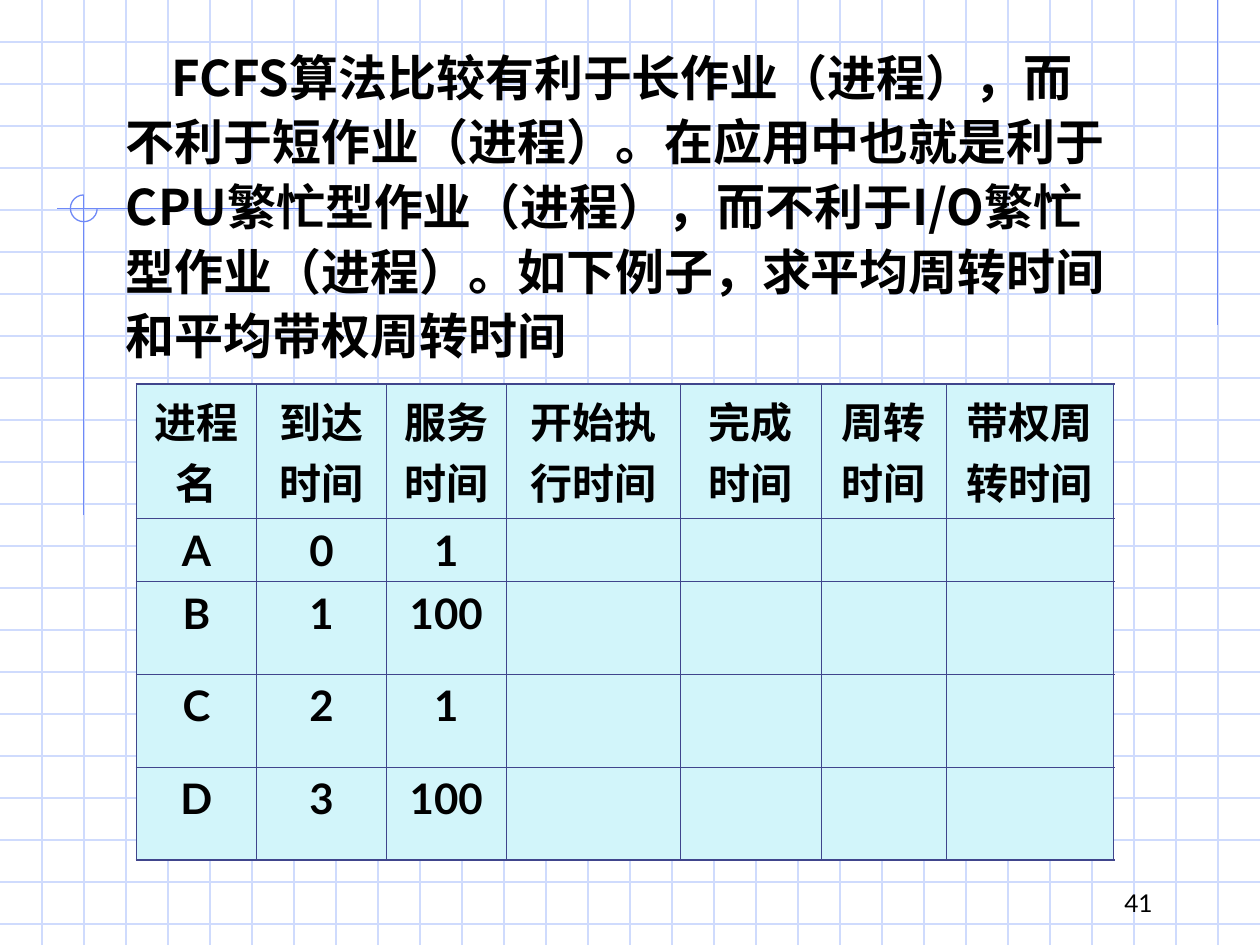
from dataclasses import dataclass

from pptx import Presentation
from pptx.dml.color import RGBColor
from pptx.enum.shapes import MSO_CONNECTOR, MSO_SHAPE
from pptx.enum.text import MSO_ANCHOR, MSO_AUTO_SIZE, PP_ALIGN
from pptx.oxml.ns import qn
from pptx.slide import Slide
from pptx.table import _Cell
from pptx.text.text import _Paragraph
from pptx.util import Cm, Pt
from lxml.etree import SubElement

BLACK = RGBColor(0x00, 0x00, 0x00)
GRID_BLUE = RGBColor(0xCF, 0xDB, 0xFD)
ACCENT_BLUE = RGBColor(0x6F, 0x89, 0xF7)
CELL_FILL = RGBColor(0xD2, 0xF5, 0xFA)
BORDER_BLUE = RGBColor(0x40, 0x45, 0x8C)

LATIN_FONT = "Lato"
CHINESE_FONT = "Noto Sans CJK SC"

SLIDE_WIDTH, SLIDE_HEIGHT = 25.4, 19.05
GRID_COLUMNS = 30
GRID_STEP = SLIDE_WIDTH / GRID_COLUMNS

BODY = (
    "FCFS算法比较有利于长作业（进程），而不利于短作业（进程）。"
    "在应用中也就是利于CPU繁忙型作业（进程），而不利于I/O繁忙型作业（进程）。"
    "如下例子，求平均周转时间和平均带权周转时间"
)
HEADERS = ["进程名", "到达时间", "服务时间", "开始执行时间", "完成时间", "周转时间", "带权周转时间"]
PROCESSES = [("A", "0", "1"), ("B", "1", "100"), ("C", "2", "1"), ("D", "3", "100")]
COLUMN_WIDTHS = [2.42, 2.62, 2.41, 3.51, 2.84, 2.52, 3.38]
ROW_HEIGHTS = [2.29, 1.27, 1.87, 1.87, 1.87]


@dataclass
class Line:
    """A straight line, in centimetres."""
    start_x: float
    start_y: float
    end_x: float
    end_y: float
    color: RGBColor


@dataclass
class TextBox:
    """A block of text, in centimetres and points."""
    left: float
    top: float
    width: float
    height: float
    text: str
    size: int
    latin_font: str
    bold: bool = False
    alignment: PP_ALIGN = PP_ALIGN.LEFT
    anchor: MSO_ANCHOR = MSO_ANCHOR.TOP
    line_spacing: float = 1.0
    first_indent: float = 0


def draw_line(slide: Slide, line: Line) -> None:
    connector = slide.shapes.add_connector(
        MSO_CONNECTOR.STRAIGHT,
        Cm(line.start_x), Cm(line.start_y), Cm(line.end_x), Cm(line.end_y))
    connector.line.color.rgb = line.color
    connector.line.width = Pt(0.75)
    SubElement(connector.element.spPr, qn("a:effectLst"))


def format_runs(paragraph: _Paragraph, size: int, latin_font: str, bold: bool) -> None:
    for run in paragraph.runs:
        run.font.size = Pt(size)
        run.font.bold = bold
        run.font.name = latin_font
        run.font.color.rgb = BLACK
        SubElement(run.font._element, qn("a:ea"), typeface=CHINESE_FONT)


def draw_text(slide: Slide, box: TextBox) -> None:
    shape = slide.shapes.add_textbox(Cm(box.left), Cm(box.top), Cm(box.width), Cm(box.height))
    text_frame = shape.text_frame
    text_frame.text = box.text
    text_frame.word_wrap = True
    text_frame.auto_size = MSO_AUTO_SIZE.NONE
    text_frame.vertical_anchor = box.anchor
    paragraph = text_frame.paragraphs[0]
    paragraph.alignment = box.alignment
    paragraph.line_spacing = box.line_spacing
    paragraph._p.get_or_add_pPr().set("indent", str(Cm(box.first_indent)))
    format_runs(paragraph, box.size, box.latin_font, box.bold)


def set_border(cell: _Cell, side: str, width: float) -> None:
    border = SubElement(cell._tc.get_or_add_tcPr(), qn(f"a:ln{side}"), w=str(Pt(width)))
    fill = SubElement(border, qn("a:solidFill"))
    SubElement(fill, qn("a:srgbClr"), val=str(BORDER_BLUE))


def draw_table(slide: Slide, left: float, top: float) -> None:
    rows = [HEADERS] + [list(process) for process in PROCESSES]
    row_count, column_count = len(rows), len(HEADERS)
    table = slide.shapes.add_table(
        row_count, column_count, Cm(left), Cm(top),
        Cm(sum(COLUMN_WIDTHS)), Cm(sum(ROW_HEIGHTS))).table
    table.first_row = table.horz_banding = False
    for column, width in zip(table.columns, COLUMN_WIDTHS):
        column.width = Cm(width)
    for row, height in zip(table.rows, ROW_HEIGHTS):
        row.height = Cm(height)

    for row_index, values in enumerate(rows):
        for column_index in range(column_count):
            cell = table.cell(row_index, column_index)
            outer_sides = {
                "L": column_index == 0,
                "R": column_index == column_count - 1,
                "T": row_index == 0,
                "B": row_index == row_count - 1,
            }
            for side, is_outer in outer_sides.items():
                set_border(cell, side, 1.08 if is_outer else 0.45)
            cell.fill.solid()
            cell.fill.fore_color.rgb = CELL_FILL
            if column_index < len(values):
                cell.text_frame.text = values[column_index]
                paragraph = cell.text_frame.paragraphs[0]
                paragraph.alignment = PP_ALIGN.CENTER
                paragraph.space_before = Pt(6)
                format_runs(paragraph, 24, LATIN_FONT, True)


def main() -> None:
    presentation = Presentation()
    presentation.slide_width = Cm(SLIDE_WIDTH)
    presentation.slide_height = Cm(SLIDE_HEIGHT)
    slide = presentation.slides.add_slide(presentation.slide_layouts[6])

    # Squared-paper background
    for index in range(1, int(SLIDE_HEIGHT / GRID_STEP) + 1):
        y = index * GRID_STEP
        draw_line(slide, Line(0, y, SLIDE_WIDTH, y, GRID_BLUE))
    for index in range(1, GRID_COLUMNS):
        x = index * GRID_STEP
        draw_line(slide, Line(x, 0, x, SLIDE_HEIGHT, GRID_BLUE))

    # Accent lines and the three-quarter circle
    accent_lines = [
        Line(24.55, 0, 24.55, 6.55, ACCENT_BLUE),
        Line(6.1, 4.21, 1.14, 4.21, ACCENT_BLUE),
        Line(1.69, 3.94, 1.69, 10.39, ACCENT_BLUE),
    ]
    for line in accent_lines:
        draw_line(slide, line)
    arc = slide.shapes.add_shape(MSO_SHAPE.ARC, Cm(1.42), Cm(3.93), Cm(0.54), Cm(0.54))
    arc.adjustments[0] = 0
    arc.adjustments[1] = 162  # 270 degrees, in units of 100000/60000 degree
    arc.shadow.inherit = False
    arc.fill.background()
    arc.line.color.rgb = ACCENT_BLUE
    arc.line.width = Pt(0.75)

    # Process table
    draw_table(slide, 2.75, 7.74)

    # Explanation and slide number
    draw_text(slide, TextBox(2.29, 0.71, 20.52, 6.78, BODY, 28, CHINESE_FONT, bold=True,
                             line_spacing=1.1, first_indent=0.92))
    draw_text(slide, TextBox(18.2, 17.35, 5.29, 1.27, "41", 14, LATIN_FONT,
                             alignment=PP_ALIGN.RIGHT, anchor=MSO_ANCHOR.BOTTOM))

    presentation.save("out.pptx")


if __name__ == "__main__":
    main()
